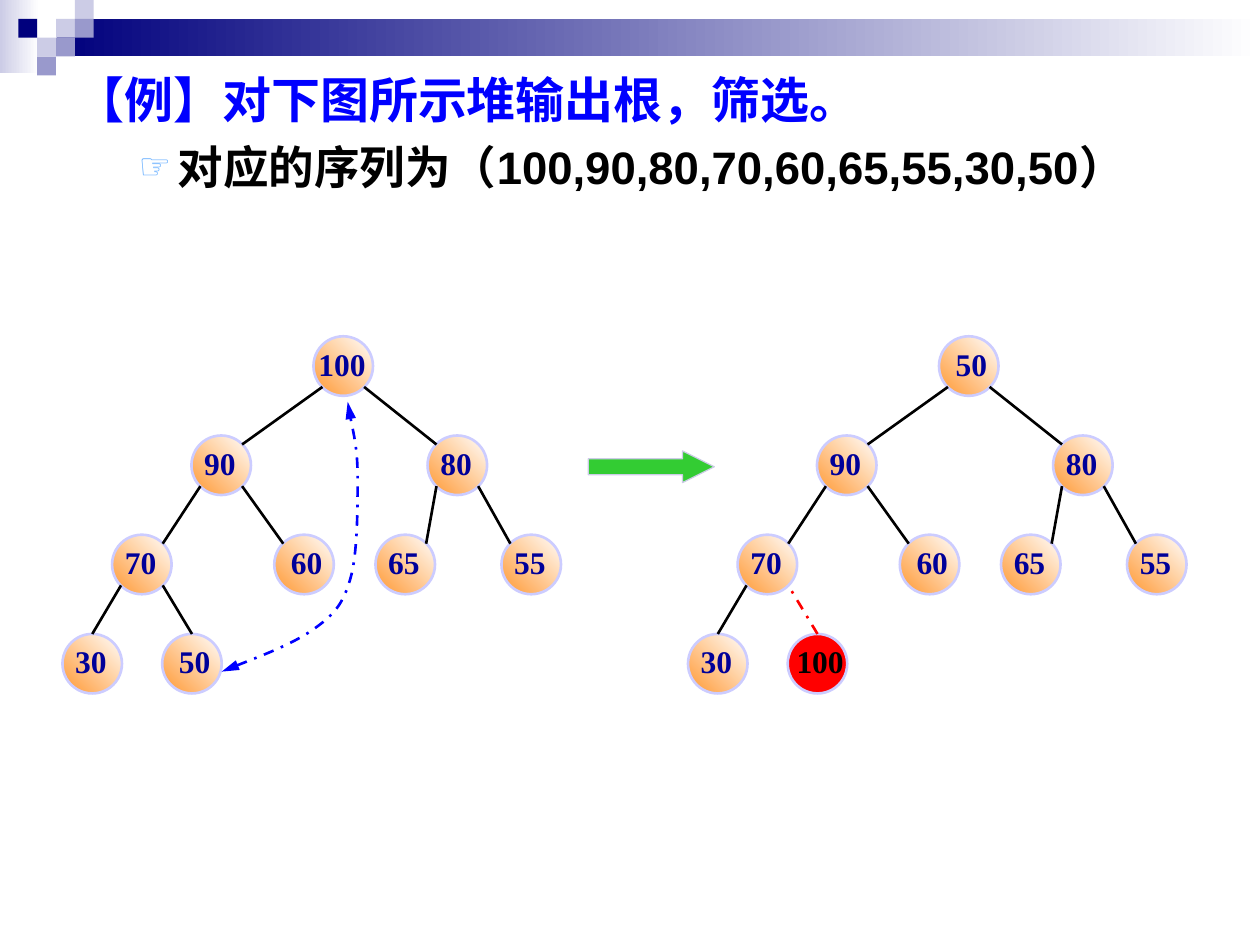
from typing import NamedTuple, Optional

from lxml.etree import SubElement
from pptx import Presentation
from pptx.dml.color import RGBColor
from pptx.enum.dml import MSO_LINE_DASH_STYLE as Dash
from pptx.enum.shapes import MSO_CONNECTOR as Connector, MSO_SHAPE as Preset
from pptx.enum.text import MSO_ANCHOR as Anchor, MSO_AUTO_SIZE as AutoSize, PP_ALIGN as Align
from pptx.oxml.ns import qn
from pptx.util import Cm, Pt

COLORS = {
    "navy": "00007D", "pale": "CCCCE6", "violet": "9999CC", "white": "FFFFFF",
    "heading": "0000FF", "black": "000000", "bullet": "67AFFF",
    "orange": "FF9933", "ring": "CCCCFF", "label": "000099",
    "red": "FF0000", "green": "33CC33",
}
SQUARE = 0.38
DIAMETER = 1.2
CORNER = 0.18
LEVEL_GAP = 2.0
TREE_TOP = 6.78
TREE_SHIFT = 12.61


class Square(NamedTuple):
    column: int
    row: int
    color: str


class Node(NamedTuple):
    left: float
    level: int
    parent: Optional[int]
    right_inset: float = 0.41


class Outline(NamedTuple):
    heading: str
    sequence: str


SQUARES = [
    Square(2, 1, "pale"), Square(3, 0, "pale"), Square(3, 1, "violet"),
    Square(1, 2, "pale"), Square(0, 1, "navy"), Square(2, 2, "violet"),
    Square(1, 3, "violet"),
]
HEAP = [
    Node(6.32, 0, None), Node(3.86, 1, 0), Node(8.62, 1, 0),
    Node(2.26, 2, 1), Node(5.53, 2, 1, 0.25), Node(7.57, 2, 2), Node(10.11, 2, 2),
    Node(1.26, 3, 3), Node(3.27, 3, 3, 0.25),
]
BEFORE = [100, 90, 80, 70, 60, 65, 55, 30, 50]
AFTER = [50, 90, 80, 70, 60, 65, 55, 30, 100]
SWAP_CURVE = [
    (4.47, 13.54), (4.78, 13.41), (5.87, 13.0), (6.3, 12.7),
    (6.73, 12.4), (6.91, 12.19), (7.06, 11.68),
    (7.21, 11.18), (7.21, 10.24), (7.21, 9.63),
    (7.21, 9.04), (7.06, 8.43), (7.01, 8.1),
]
TEXT = Outline("【例】对下图所示堆输出根，筛选。", "对应的序列为（100,90,80,70,60,65,55,30,50）")


def rgb(name: str) -> RGBColor:
    return RGBColor.from_string(COLORS[name])


def fill_solid(shape, color: str) -> None:
    shape.fill.solid()
    shape.fill.fore_color.rgb = rgb(color)


def fill_gradient(shape, start: str, end: str, angle: float) -> None:
    shape.fill.gradient()
    shape.fill.gradient_angle = angle
    for stop, color in zip(shape.fill.gradient_stops, (start, end)):
        stop.color.rgb = rgb(color)


def set_line(shape, color: str, width: float, dashed: bool = False) -> None:
    shape.line.color.rgb = rgb(color)
    shape.line.width = Pt(width)
    if dashed:
        shape.line.dash_style = Dash.DASH_DOT


def add_preset(slide, preset, left: float, top: float, width: float, height: float):
    shape = slide.shapes.add_shape(preset, Cm(left), Cm(top), Cm(width), Cm(height))
    shape.shadow.inherit = False
    shape.line.fill.background()
    return shape


def add_banner(slide) -> None:
    corner = add_preset(slide, Preset.RECTANGLE, 0, 0, 0.79, 1.47)
    fill_gradient(corner, "pale", "white", 0)
    bar = add_preset(slide, Preset.RECTANGLE, 1.14, SQUARE, 24.26, 0.76)
    fill_gradient(bar, "navy", "white", 0)
    for square in SQUARES:
        tile = add_preset(slide, Preset.RECTANGLE, 0.37 + square.column * SQUARE,
                          square.row * SQUARE, SQUARE, SQUARE)
        fill_solid(tile, square.color)


def set_bullet(paragraph, margin: float, hanging: float, symbol: str = "") -> None:
    properties = paragraph._p.get_or_add_pPr()
    properties.set("marL", str(Cm(margin)))
    properties.set("indent", str(-Cm(hanging)))
    if not symbol:
        SubElement(properties, qn("a:buNone"))
        return
    bullet_color = SubElement(properties, qn("a:buClr"))
    SubElement(bullet_color, qn("a:srgbClr"), val=COLORS["bullet"])
    SubElement(properties, qn("a:buSzPct"), val="80000")
    SubElement(properties, qn("a:buChar"), char=symbol)


def set_font(paragraph, name: str, size: float, color: str) -> None:
    paragraph.font.name = name
    paragraph.font.size = Pt(size)
    paragraph.font.bold = True
    paragraph.font.color.rgb = rgb(color)


def fill_body(body) -> None:
    body.left, body.top, body.width, body.height = Cm(1.27), Cm(1.27), Cm(22.86), Cm(17.78)
    frame = body.text_frame
    frame.auto_size = AutoSize.NONE
    heading = frame.paragraphs[0]
    heading.text = TEXT.heading
    heading.space_before = Pt(0)
    set_bullet(heading, 0.95, 0.95)
    set_font(heading, "Arial", 28, "heading")
    sequence = frame.add_paragraph()
    sequence.text = TEXT.sequence
    sequence.level = 1
    sequence.space_before = Pt(6.5)
    set_bullet(sequence, 2.06, 0.79, "☞")
    set_font(sequence, "Arial", 26, "black")


def add_node(slide, node: Node, value: int, shift: float, removed: bool) -> None:
    circle = add_preset(slide, Preset.OVAL, node.left + shift,
                        TREE_TOP + node.level * LEVEL_GAP, DIAMETER, DIAMETER)
    if removed:
        fill_solid(circle, "red")
    else:
        fill_gradient(circle, "orange", "white", 45)
    set_line(circle, "ring", 1.5)
    frame = circle.text_frame
    frame.word_wrap = False
    frame.vertical_anchor = Anchor.MIDDLE
    frame.margin_left, frame.margin_right = Cm(0.36), Cm(node.right_inset)
    frame.margin_top, frame.margin_bottom = Cm(0.03), Cm(0.13)
    paragraph = frame.paragraphs[0]
    paragraph.text = str(value)
    paragraph.alignment = Align.CENTER
    set_font(paragraph, "Times New Roman", 18, "black" if removed else "label")


def add_edge(slide, child: Node, parent: Node, shift: float, removed: bool) -> None:
    near, far = CORNER, DIAMETER - CORNER
    is_left = child.left < parent.left
    child_top = TREE_TOP + child.level * LEVEL_GAP
    if child.level == 3:
        start_x, start_y = child.left + DIAMETER / 2, child_top
    else:
        start_x, start_y = child.left + (far if is_left else near), child_top + near
    end_x = parent.left + (near if is_left else far)
    end_y = TREE_TOP + parent.level * LEVEL_GAP + far
    edge = slide.shapes.add_connector(Connector.STRAIGHT, Cm(start_x + shift), Cm(start_y),
                                      Cm(end_x + shift), Cm(end_y))
    set_line(edge, "red" if removed else "black", 1.5, removed)
    SubElement(edge._element.spPr, qn("a:effectLst"))


def add_tree(slide, values: list[int], shift: float = 0, last_removed: bool = False) -> None:
    for index, (node, value) in enumerate(zip(HEAP, values)):
        removed = last_removed and index == len(HEAP) - 1
        right_inset = 0.25 if removed or (index == 0 and value == 50) else node.right_inset
        add_node(slide, node._replace(right_inset=right_inset), value, shift, removed)
        if node.parent is not None:
            add_edge(slide, node, HEAP[node.parent], shift, removed)


def add_swap_curve(slide) -> None:
    points = [(Cm(x), Cm(y)) for x, y in SWAP_CURVE]
    builder = slide.shapes.build_freeform(*points[0])
    builder.add_line_segments(points[1:], close=False)
    curve = builder.convert_to_shape()
    curve.shadow.inherit = False
    curve.fill.background()
    set_line(curve, "heading", 1.5, True)
    outline = next(curve._element.iter(qn("a:path")))
    segments = outline.findall(qn("a:lnTo"))
    for first in range(0, len(segments), 3):
        bezier = SubElement(outline, qn("a:cubicBezTo"))
        for segment in segments[first:first + 3]:
            bezier.append(segment[0])
            outline.remove(segment)
    for end in ("a:headEnd", "a:tailEnd"):
        SubElement(curve.line._get_or_add_ln(), qn(end), type="triangle", w="med", len="lg")


def main() -> None:
    presentation = Presentation()
    presentation.slide_width, presentation.slide_height = Cm(25.4), Cm(19.05)
    slide = presentation.slides.add_slide(presentation.slide_layouts[1])
    title = slide.shapes.title._element
    title.getparent().remove(title)
    add_banner(slide)
    fill_body(slide.placeholders[1])
    add_tree(slide, BEFORE)
    add_swap_curve(slide)
    add_tree(slide, AFTER, TREE_SHIFT, last_removed=True)
    arrow = add_preset(slide, Preset.RIGHT_ARROW, 11.86, 9.09, 2.54, 0.64)
    arrow.adjustments[0], arrow.adjustments[1] = 0.5, 1.0
    fill_solid(arrow, "green")
    set_line(arrow, "pale", 0.75)
    presentation.save("out.pptx")


if __name__ == "__main__":
    main()
